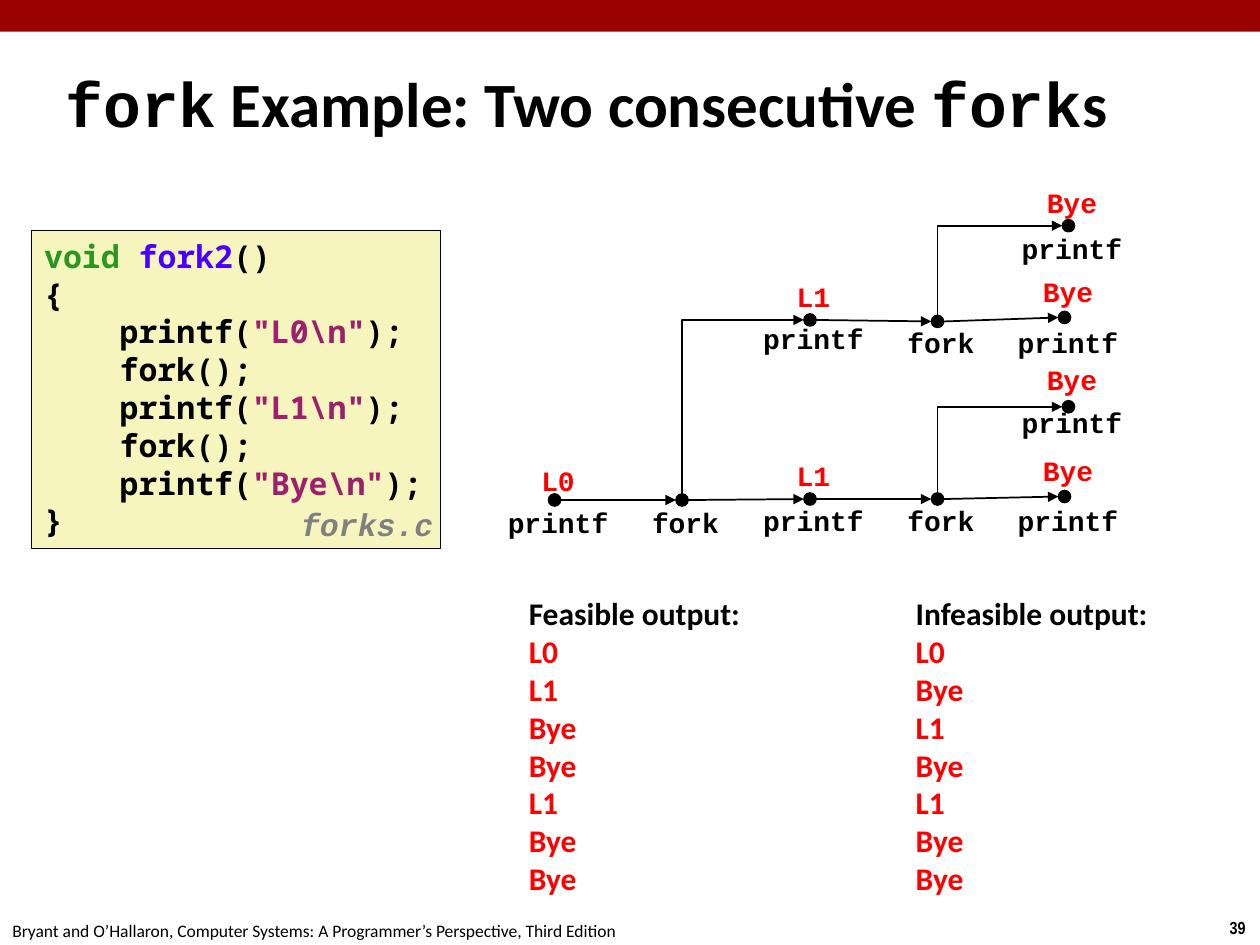
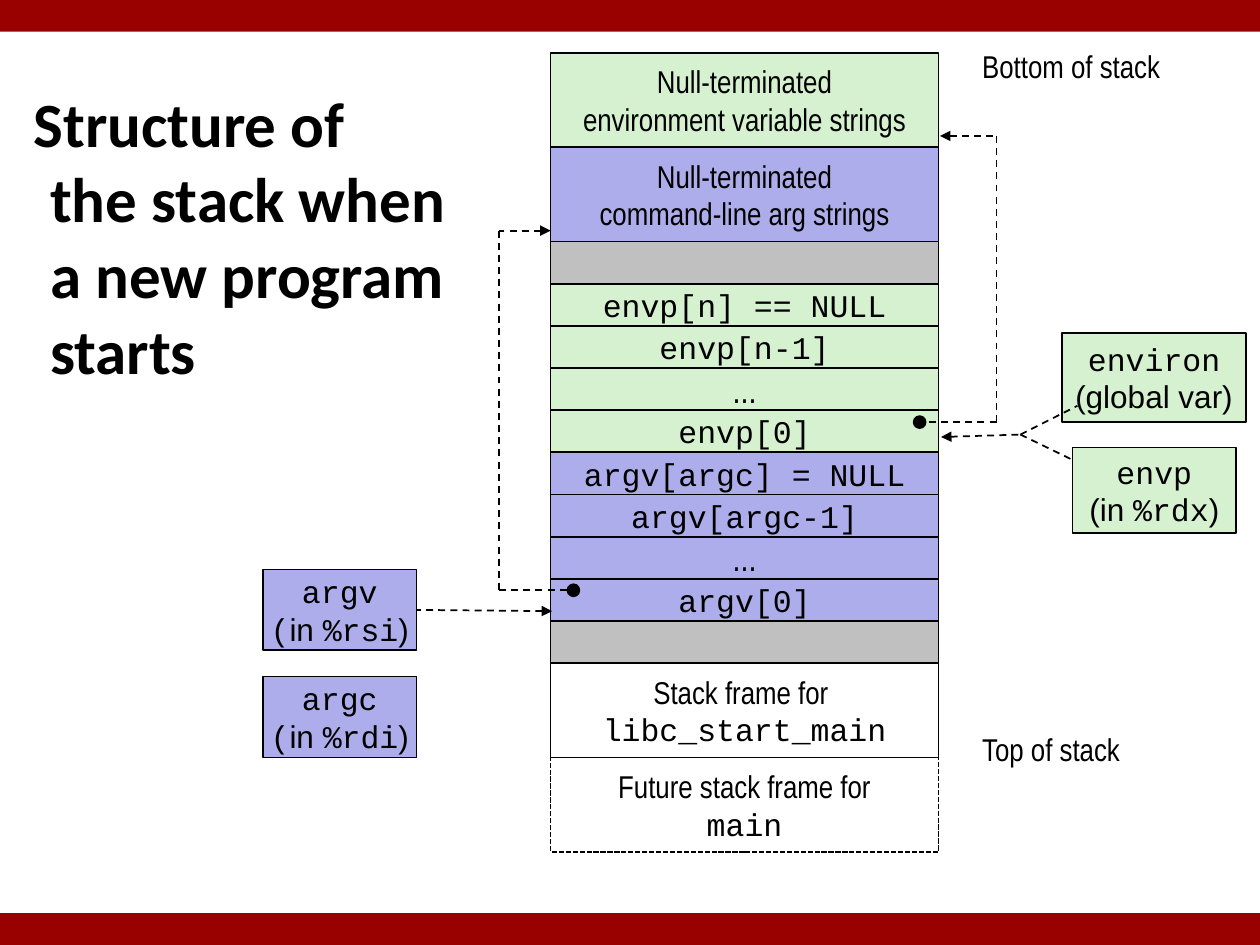
"""Build two lecture slides: consecutive forks and the initial program stack."""
from itertools import pairwise

from lxml import etree
from pptx import Presentation
from pptx.dml.color import RGBColor
from pptx.enum.dml import MSO_LINE
from pptx.enum.shapes import MSO_CONNECTOR, MSO_SHAPE
from pptx.enum.text import MSO_ANCHOR, PP_ALIGN
from pptx.oxml.ns import qn
from pptx.util import Cm, Pt

RECT, OVAL = MSO_SHAPE.RECTANGLE, MSO_SHAPE.OVAL
STRAIGHT, ELBOW = MSO_CONNECTOR.STRAIGHT, MSO_CONNECTOR.ELBOW
DASH, SHORT_DASH = MSO_LINE.DASH, MSO_LINE.SQUARE_DOT
LEFT, CENTER = PP_ALIGN.LEFT, PP_ALIGN.CENTER
TOP, MIDDLE = MSO_ANCHOR.TOP, MSO_ANCHOR.MIDDLE

BLACK = RGBColor(0x00, 0x00, 0x00)
RED = RGBColor(0xFF, 0x00, 0x00)
BAND_RED = RGBColor(0x99, 0x00, 0x00)
CODE_YELLOW = RGBColor(0xF6, 0xF5, 0xBD)
KEYWORD_GREEN = RGBColor(0x2D, 0x96, 0x1E)
NAME_BLUE = RGBColor(0x4A, 0x00, 0xFF)
STRING_PURPLE = RGBColor(0x9D, 0x20, 0x6F)
FILE_GREY = RGBColor(0x80, 0x80, 0x80)
ENV_GREEN = RGBColor(0xD5, 0xF1, 0xCF)
ARG_BLUE = RGBColor(0xAD, 0xAD, 0xEB)
GAP_GREY = RGBColor(0xC0, 0xC0, 0xC0)

BODY, MONO, CODE = "Calibri", "Courier New", "Noto Sans Mono"
SANS, NARROW = "Arial", "Arial Narrow"

SLIDE_WIDTH, SLIDE_HEIGHT, BAND_HEIGHT = 25.4, 19.05, 0.64
DOT = 0.25

FOOTER = "Bryant and O’Hallaron, Computer Systems: A Programmer’s Perspective, Third Edition"
PAGE_NUMBER = "39"

FORK_TITLE = [("fork", MONO), (" Example: Two consecutive ", BODY),
              ("fork", MONO), ("s", BODY)]
FORK_CODE = [
    [("void ", KEYWORD_GREEN), ("fork2", NAME_BLUE), ("()", BLACK)],
    "{",
    [("    printf(", BLACK), ('"L0\\n"', STRING_PURPLE), (");", BLACK)],
    "    fork();",
    [("    printf(", BLACK), ('"L1\\n"', STRING_PURPLE), (");", BLACK)],
    "    fork();",
    [("    printf(", BLACK), ('"Bye\\n"', STRING_PURPLE), (");", BLACK)],
    "}",
]
# name: centre x, centre y, call, top of call, output, top of output
CALLS = {
    "start": (11.18, 10.08, "printf", 10.06, "L0", 9.22),
    "first fork": (13.75, 10.08, "fork", 10.06, None, None),
    "parent L1": (16.33, 10.06, "printf", 10.03, "L1", 9.12),
    "parent fork": (18.9, 10.06, "fork", 10.03, None, None),
    "parent Bye": (21.46, 10.01, "printf", 10.03, "Bye", 9.02),
    "parent's child Bye": (21.54, 8.2, "printf", 8.05, "Bye", 7.19),
    "child L1": (16.33, 6.45, "printf", 6.35, "L1", 5.51),
    "child fork": (18.9, 6.48, "fork", 6.43, None, None),
    "child Bye": (21.46, 6.4, "printf", 6.43, "Bye", 5.41),
    "grandchild Bye": (21.54, 4.55, "printf", 4.55, "Bye", 3.61),
}
PROCESSES = [
    ("start", "first fork", "parent L1", "parent fork", "parent Bye"),
    ("child L1", "child fork", "child Bye"),
]
SPAWNS = [
    ("first fork", "child L1"),
    ("parent fork", "parent's child Bye"),
    ("child fork", "grandchild Bye"),
]
OUTPUTS = [
    (10.41, "Feasible output:", ["L0", "L1", "Bye", "Bye", "L1", "Bye", "Bye"]),
    (18.21, "Infeasible output:", ["L0", "Bye", "L1", "Bye", "L1", "Bye", "Bye"]),
]

STACK_TITLE = [("Structure of ", BODY), ("\n", None),
               ("the stack when a new program starts", BODY)]
STACK_LEFT, STACK_TOP, STACK_WIDTH = 11.1, 1.07, 7.82
TALL, SHORT = 1.9, 0.85
STACK = [
    (["Null-terminated", "environment variable strings"], NARROW, ENV_GREEN, TALL),
    (["Null-terminated", "command-line arg strings"], NARROW, ARG_BLUE, TALL),
    ([], MONO, GAP_GREY, SHORT),
    (["envp[n] == NULL"], MONO, ENV_GREEN, SHORT),
    (["envp[n-1]"], MONO, ENV_GREEN, SHORT),
    (["..."], NARROW, ENV_GREEN, SHORT),
    (["envp[0]"], MONO, ENV_GREEN, SHORT),
    (["argv[argc] = NULL"], MONO, ARG_BLUE, SHORT),
    (["argv[argc-1]"], MONO, ARG_BLUE, SHORT),
    (["..."], NARROW, ARG_BLUE, SHORT),
    (["argv[0]"], MONO, ARG_BLUE, SHORT),
    ([], MONO, GAP_GREY, SHORT),
    (["Stack frame for ", [("libc_start_main", MONO)]], NARROW, None, TALL),
    (["Future stack frame for", [("main", MONO)]], NARROW, None, TALL),
]
VARIABLES = {
    "environ": ((21.41, 6.71, 3.71, 1.8), ENV_GREEN, [("(global var)", SANS)]),
    "envp": ((21.62, 9.02, 3.3, 1.73), ENV_GREEN,
             [("(in ", SANS), ("%rdx", MONO), (")", SANS)]),
    "argv": ((5.3, 11.48, 3.1, 1.63), ARG_BLUE,
             [("(", MONO), ("in ", SANS), ("%rsi", MONO), (")", SANS)]),
    "argc": ((5.3, 13.64, 3.1, 1.63), ARG_BLUE,
             [("(", MONO), ("in ", SANS), ("%rdi", MONO), (")", SANS)]),
}
ARGV_TIP = (11.13, 12.32)
POINTER_ROUTES = [
    [(11.1, 4.65), (10.06, 4.65), (10.06, 11.9), (11.56, 11.9)],
    [(18.95, 2.74), (20.09, 2.74), (20.09, 8.51), (18.54, 8.51)],
]
ENVIRON_JOIN = (20.57, 8.76)
ENVIRON_ROUTE = [(18.97, 8.81), ENVIRON_JOIN]
ENVIRON_SOURCES = [(21.62, 9.27), (21.72, 8.18)]
STACK_ENDS = [("Bottom of stack", 0.81), ("Top of stack", 14.58)]


def apply_style(font, style):
    if isinstance(style, str):
        font.name = style
    elif style is not None:
        font.color.rgb = style


def write(frame, lines, size, font, color=BLACK, bold=False, align=LEFT,
          anchor=TOP, wrap=True):
    frame.word_wrap = wrap
    frame.vertical_anchor = anchor
    for index, line in enumerate(lines):
        paragraph = frame.add_paragraph() if index else frame.paragraphs[0]
        paragraph.alignment = align
        paragraph.font.size, paragraph.font.bold = Pt(size), bold
        paragraph.font.name, paragraph.font.color.rgb = font, color
        runs = [(line, None)] if isinstance(line, str) else line
        for text, style in runs:
            if text == "\n":
                paragraph.add_line_break()
                continue
            run = paragraph.add_run()
            run.text = text
            apply_style(paragraph.font if len(runs) == 1 else run.font, style)
    return frame


def add_text(slide, place, lines, size, font, **options):
    box = slide.shapes.add_textbox(*map(Cm, place))
    return write(box.text_frame, lines, size, font, **options)


def add_figure(slide, kind, place, fill, line_width=1):
    figure = slide.shapes.add_shape(kind, *map(Cm, place))
    figure.shadow.inherit = False
    if fill is None:
        figure.fill.background()
    else:
        figure.fill.solid()
        figure.fill.fore_color.rgb = fill
    if line_width:
        figure.line.color.rgb = BLACK
        figure.line.width = Pt(line_width)
    else:
        figure.line.fill.background()
    return figure


def add_dot(slide, x, y):
    add_figure(slide, OVAL, (x - DOT / 2, y - DOT / 2, DOT, DOT), BLACK, 0.75)


def add_line(slide, tip, tail, kind=STRAIGHT, dash=None, arrow=True):
    line = slide.shapes.add_connector(kind, *map(Cm, (*tip, *tail)))
    line.line.color.rgb = BLACK
    line.line.width = Pt(1)
    if dash:
        line.line.dash_style = dash
    properties = line._element.spPr
    if kind == ELBOW:
        properties.find(qn("a:prstGeom")).set("prst", "bentConnector2")
    if arrow:
        etree.SubElement(properties.find(qn("a:ln")), qn("a:headEnd"), type="triangle")
    etree.SubElement(properties, qn("a:effectLst"))
    return line


def add_route(slide, points):
    for index, (near, far) in enumerate(pairwise(points)):
        add_line(slide, near, far, dash=DASH, arrow=index == 0)


def add_title(slide, place, runs):
    frame = add_text(slide, place, [runs], 36, BODY, bold=True, anchor=MIDDLE)
    hanging = frame.paragraphs[0]._p.get_or_add_pPr()
    hanging.set("marL", str(Cm(0.33)))
    hanging.set("indent", str(Cm(-0.33)))


def add_band(slide, top=0):
    add_figure(slide, RECT, (0, top, SLIDE_WIDTH, BAND_HEIGHT), BAND_RED, 0)


def add_fork_tree(slide):
    for process in PROCESSES:
        for caller, following in pairwise(process):
            (x, y), (next_x, next_y) = CALLS[caller][:2], CALLS[following][:2]
            add_line(slide, (next_x - DOT / 2, next_y), (x + DOT / 2, y))
    for parent, child in SPAWNS:
        (x, y), (child_x, child_y) = CALLS[parent][:2], CALLS[child][:2]
        add_line(slide, (child_x - DOT / 2, child_y), (x, y - DOT / 2), ELBOW)
    for x, y, call, call_top, output, output_top in CALLS.values():
        add_dot(slide, x, y)
        labels = [(call, call_top, BLACK)]
        if output:
            labels.append((output, output_top, RED))
        for text, top, color in labels:
            add_text(slide, (x - 1.25, top, 2.64, 0.94), [text], 16, MONO,
                     color=color, bold=True, align=CENTER)


def build_fork_slide(slide):
    add_title(slide, (1.07, 1.27, 23.7, 1.6), FORK_TITLE)
    listing = add_figure(slide, RECT, (0.64, 4.65, 8.23, 6.4), CODE_YELLOW, 0.25)
    write(listing.text_frame, FORK_CODE, 18, CODE, bold=True, wrap=False)
    for code_line in listing.text_frame.paragraphs:
        code_line.line_spacing = Pt(21.6)
    file_name = add_text(slide, (5.82, 10.11, 3.35, 0.99), ["forks.c"], 18, MONO,
                         color=FILE_GREY, bold=True).paragraphs[0]
    file_name.font.italic = True
    file_name.line_spacing = 0.94
    add_fork_tree(slide)
    for left, heading, printed in OUTPUTS:
        lines = [heading] + [[(text, RED)] for text in printed]
        add_text(slide, (left, 11.86, 5.6, 6.4), lines, 18, BODY, bold=True)
    add_text(slide, (0, 18.42, 13, 0.63), [FOOTER], 10, BODY)
    add_text(slide, (24.54, 18.36, 0.86, 0.69), [PAGE_NUMBER], 10, NARROW,
             bold=True, wrap=False)
    add_band(slide)


def build_stack_slide(slide):
    add_title(slide, (0.43, 2.11, 9.07, 5.28), STACK_TITLE)
    top = STACK_TOP
    for lines, font, fill, height in STACK:
        segment = add_figure(slide, RECT, (STACK_LEFT, top, STACK_WIDTH, height), fill)
        write(segment.text_frame, lines, 20 if lines == ["..."] else 18, font,
              align=CENTER, anchor=MIDDLE, wrap=False)
        top += height
    segment.line.dash_style = SHORT_DASH

    variables = {}
    for name, (place, fill, note) in VARIABLES.items():
        variables[name] = add_figure(slide, RECT, place, fill)
        write(variables[name].text_frame, [name, note], 18, MONO,
              align=CENTER, anchor=MIDDLE, wrap=False)

    argv_arrow = add_line(slide, ARGV_TIP, (8.4, 12.3), dash=DASH)
    argv_arrow.end_connect(variables["argv"], 3)
    for route in POINTER_ROUTES:
        add_route(slide, route)
        add_dot(slide, *route[-1])
    add_route(slide, ENVIRON_ROUTE)
    for source in ENVIRON_SOURCES:
        add_line(slide, ENVIRON_JOIN, source, dash=DASH, arrow=False)
    for text, label_top in STACK_ENDS:
        add_text(slide, (19.55, label_top, 4.6, 1.02), [text], 18, NARROW, anchor=MIDDLE)
    add_band(slide)
    add_band(slide, SLIDE_HEIGHT - BAND_HEIGHT)


def main():
    deck = Presentation()
    deck.slide_width, deck.slide_height = Cm(SLIDE_WIDTH), Cm(SLIDE_HEIGHT)
    for build in (build_fork_slide, build_stack_slide):
        build(deck.slides.add_slide(deck.slide_layouts[6]))
    deck.save("out.pptx")


if __name__ == "__main__":
    main()
